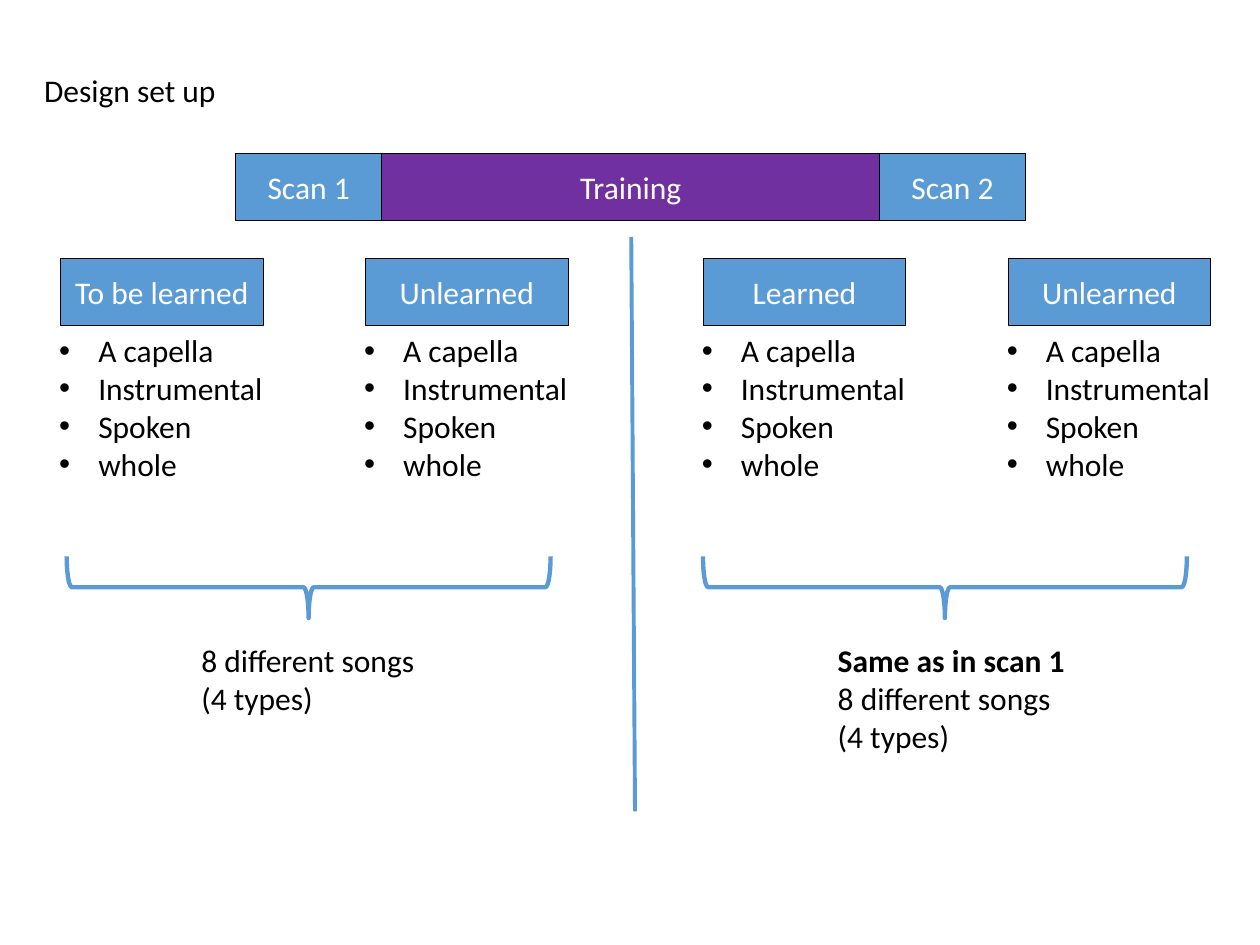
import pptx
import pptx.util
import pptx.dml.color
import pptx.enum.shapes
import pptx.enum.text
import pptx.oxml.ns
import lxml.etree

Inches, Pt = pptx.util.Inches, pptx.util.Pt
RGB = pptx.dml.color.RGBColor
SHAPES = pptx.enum.shapes.MSO_SHAPE
ALIGN = pptx.enum.text.PP_ALIGN
ANCHOR = pptx.enum.text.MSO_ANCHOR
FIT = pptx.enum.text.MSO_AUTO_SIZE.SHAPE_TO_FIT_TEXT
qn = pptx.oxml.ns.qn

BLUE = RGB(0x5B, 0x9B, 0xD5)
PURPLE = RGB(0x70, 0x30, 0xA0)
BLACK = RGB(0, 0, 0)
WHITE = RGB(255, 255, 255)

HEADING = "Design set up"
TIMELINE = [("Scan 1", 1.16, BLUE), ("Training", 3.95, PURPLE), ("Scan 2", 1.16, BLUE)]
SONG_TYPES = ["A capella", "Instrumental", "Spoken", "whole"]
SONG_COUNT = ["8 different songs", "(4 types)"]
SCANS = [
    {"left": 0.48, "conditions": ["To be learned", "Unlearned"],
     "brace": 0.53, "bold": [], "note_width": 1.92},
    {"left": 5.58, "conditions": ["Learned", "Unlearned"],
     "brace": 5.58, "bold": ["Same as in scan 1"], "note_width": 2.02},
]
TIMELINE_LEFT, TIMELINE_TOP, BOX_HEIGHT = 1.87, 1.22, 0.53
CONDITION_TOP, CONDITION_WIDTH, CONDITION_STEP = 2.05, 1.61, 2.42
LIST_WIDTH, LIST_HEIGHT, LIST_INDENT = 1.83, 1.31, 0.31
BRACE_SPAN, BRACE_DEPTH, BRACE_MIDDLE = 3.84, 0.49, 4.66
NOTE_TOP, NOTE_OFFSET = 5.04, 0.97

deck = pptx.Presentation()
deck.slide_width, deck.slide_height = Inches(10), Inches(7.5)
slide = deck.slides.add_slide(deck.slide_layouts.get_by_name("Comparison"))


def place(part, left, top, width, height):
    part.left, part.top = Inches(left), Inches(top)
    part.width, part.height = Inches(width), Inches(height)


def write(part, lines, color=BLACK, align=ALIGN.LEFT, anchor=ANCHOR.TOP, bold=()):
    frame = part.text_frame
    frame.text = "\n".join(lines)
    frame.vertical_anchor = anchor
    for paragraph in frame.paragraphs:
        paragraph.alignment = align
        paragraph.space_before = Pt(0)
        for run in paragraph.runs:
            run.font.name, run.font.size = "Calibri", Pt(18)
            run.font.bold = run.text in bold
            run.font.color.rgb = color


def fit(part):
    part.text_frame.word_wrap = False
    part.text_frame.auto_size = FIT


def add_box(label, left, top, width, fill):
    box = slide.shapes.add_shape(SHAPES.RECTANGLE, Inches(left), Inches(top),
                                 Inches(width), Inches(BOX_HEIGHT))
    box.shadow.inherit = False
    box.fill.solid()
    box.fill.fore_color.rgb = fill
    box.line.color.rgb, box.line.width = BLACK, Pt(0.5)
    write(box, [label], WHITE, ALIGN.CENTER, ANCHOR.MIDDLE)


def fill_list(holder, left, top):
    place(holder, left, top, LIST_WIDTH, LIST_HEIGHT)
    write(holder, SONG_TYPES)
    fit(holder)
    for paragraph in holder.text_frame.paragraphs:
        props = paragraph._p.get_or_add_pPr()
        props.set("marL", str(Inches(LIST_INDENT)))
        props.set("indent", str(-Inches(LIST_INDENT)))
        lxml.etree.SubElement(props, qn("a:buFont")).set("typeface", "Arial")
        lxml.etree.SubElement(props, qn("a:buChar")).set("char", "•")


def add_brace(left):
    brace = slide.shapes.add_shape(
        SHAPES.LEFT_BRACE,
        Inches(left + (BRACE_SPAN - BRACE_DEPTH) / 2), Inches(BRACE_MIDDLE - BRACE_SPAN / 2),
        Inches(BRACE_DEPTH), Inches(BRACE_SPAN))
    brace.rotation = 270
    brace.shadow.inherit = False
    brace.fill.background()
    brace.line.color.rgb, brace.line.width = BLUE, Pt(2.5)


title = slide.shapes.title
place(title, 0.25, 0.51, 1.58, 0.4)
write(title, [HEADING])
fit(title)

stage_left = TIMELINE_LEFT
for label, width, fill in TIMELINE:
    add_box(label, stage_left, TIMELINE_TOP, width, fill)
    stage_left += width

lists = iter([holder for holder in slide.placeholders if 1 <= holder.placeholder_format.idx <= 4])
for scan in SCANS:
    for column, condition in enumerate(scan["conditions"]):
        left = scan["left"] + column * CONDITION_STEP
        add_box(condition, left, CONDITION_TOP, CONDITION_WIDTH, BLUE)
        fill_list(next(lists), left - (LIST_WIDTH - CONDITION_WIDTH) / 2,
                  CONDITION_TOP + BOX_HEIGHT)
    add_brace(scan["brace"])
    lines = scan["bold"] + SONG_COUNT
    note = slide.shapes.add_textbox(Inches(scan["brace"] + NOTE_OFFSET), Inches(NOTE_TOP),
                                    Inches(scan["note_width"]), Inches(0.1 + 0.3 * len(lines)))
    write(note, lines, bold=scan["bold"])
    fit(note)

divider = slide.shapes.add_connector(pptx.enum.shapes.MSO_CONNECTOR.STRAIGHT, Inches(5.01),
                                     Inches(1.88), Inches(5.04), Inches(6.44))
divider.line.color.rgb, divider.line.width = BLUE, Pt(2.25)
lxml.etree.SubElement(divider._element.spPr, qn("a:effectLst"))

deck.save("out.pptx")
